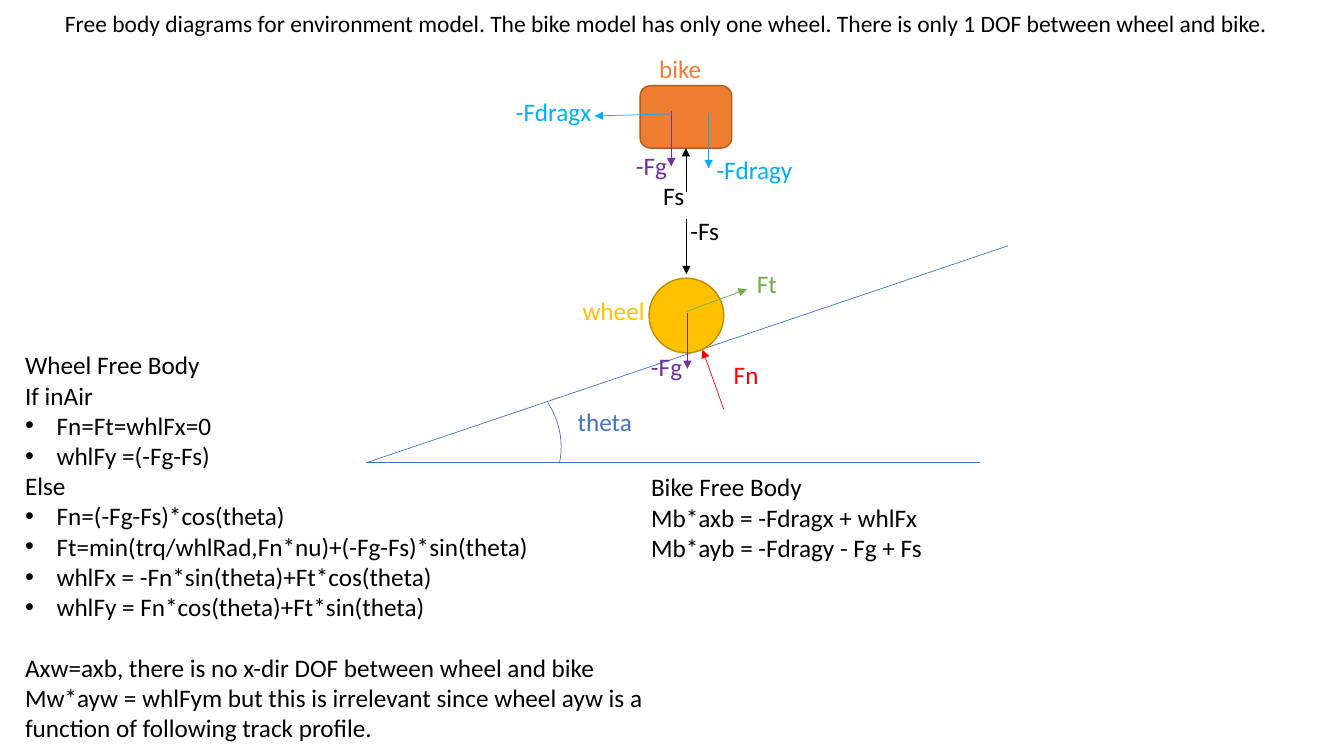
"""Builds a slide with free body diagrams of a one-wheel bike on an incline."""
from collections import namedtuple

import pptx
import pptx.dml.color
import pptx.enum.shapes
import pptx.enum.text
import pptx.oxml.ns
import pptx.util
from lxml import etree

Pt = pptx.util.Pt
RGBColor = pptx.dml.color.RGBColor
Kind = pptx.enum.shapes.MSO_SHAPE
qn = pptx.oxml.ns.qn

BLACK = RGBColor(0x00, 0x00, 0x00)
BLUE = RGBColor(0x44, 0x72, 0xC4)
SKY = RGBColor(0x00, 0xB0, 0xF0)
PURPLE = RGBColor(0x70, 0x30, 0xA0)
RED = RGBColor(0xFF, 0x00, 0x00)
GREEN = RGBColor(0x70, 0xAD, 0x47)
ORANGE = RGBColor(0xED, 0x7D, 0x31)
DARK_ORANGE = RGBColor(0xAF, 0x5C, 0x24)
GOLD = RGBColor(0xFF, 0xC0, 0x00)
DARK_GOLD = RGBColor(0xBD, 0x8E, 0x00)

FONT = "Calibri"
BULLET_INDENT = 22.5
LABEL_SIZE = (80.6, 29)

Box = namedtuple("Box", "left top width height")

HEADING = ("Free body diagrams for environment model. The bike model has only one wheel. "
           "There is only 1 DOF between wheel and bike.")
BIKE_NOTES = ["Bike Free Body", "Mb*axb = -Fdragx + whlFx", "Mb*ayb = -Fdragy - Fg + Fs"]
WHEEL_NOTES = [
    "Wheel Free Body",
    "If inAir",
    "• Fn=Ft=whlFx=0",
    "• whlFy =(-Fg-Fs)",
    "Else",
    "• Fn=(-Fg-Fs)*cos(theta)",
    "• Ft=min(trq/whlRad,Fn*nu)+(-Fg-Fs)*sin(theta)",
    "• whlFx = -Fn*sin(theta)+Ft*cos(theta)",
    "• whlFy = Fn*cos(theta)+Ft*sin(theta)",
    "Axw=axb, there is no x-dir DOF between wheel and bike",
    "Mw*ayw = whlFym but this is irrelevant since wheel ayw is a function of following track profile.",
]
WHEEL_FORCES = [
    ("Fn", RED, (53.4, 93.6), (38.2, 51.1), (53.4, 54.7)),
    ("-Fs", BLACK, (26.7, -42.5), (26.7, -2.9), (22.4, -48.2)),
    ("Ft", GREEN, (26.7, 23.8), (69.9, 7.9), (69.9, -10.8)),
    ("-Fg", PURPLE, (27.4, 25.2), (27.4, 64.8), (-5.7, 49)),
]
BIKE_FORCES = [
    ("Fs", BLACK, (32.75, 76.3), (32.75, 44.6), (9.4, 64.1)),
    ("-Fg", PURPLE, (22.3, 18), (22.3, 57.6), (-10.1, 42.5)),
    ("-Fdragx", SKY, (23, 20.2), (-32.4, 21.6), (-95.8, 4.3)),
    ("-Fdragy", SKY, (49, 19.4), (49, 59), (47.5, 45.4)),
]


def add_text(page, box, lines, color=BLACK, size=18, wrap=True):
    """Add a text box with one paragraph for each line and return its text frame."""
    frame = page.shapes.add_textbox(*map(Pt, box)).text_frame
    frame.word_wrap = wrap
    frame.text = "\n".join(lines)
    for para in frame.paragraphs:
        for span in para.runs:
            span.font.name = FONT
            span.font.size = Pt(size)
            span.font.color.rgb = color
    return frame


def add_label(page, box, offset, text, color):
    """Add a short label at an offset from the corner of the box."""
    add_text(page, Box(box.left + offset[0], box.top + offset[1], *LABEL_SIZE), [text], color)


def add_line(page, box, start, end, color, arrow=False):
    """Add a thin line between two points given relative to the box."""
    points = [box.left + start[0], box.top + start[1], box.left + end[0], box.top + end[1]]
    line = page.shapes.add_connector(
        pptx.enum.shapes.MSO_CONNECTOR.STRAIGHT, *map(Pt, points))
    line.line.color.rgb = color
    line.line.width = Pt(0.5)
    if arrow:
        etree.SubElement(line.line._get_or_add_ln(), qn("a:tailEnd"), type="triangle")
    etree.SubElement(line._element.spPr, qn("a:effectLst"))
    return line


def add_body(page, box, kind, outline, width, fill=None):
    """Add a preset shape that fills the box."""
    body = page.shapes.add_shape(kind, *map(Pt, box))
    body.shadow.inherit = False
    body.line.color.rgb = outline
    body.line.width = Pt(width)
    if fill is None:
        body.fill.background()
    else:
        body.fill.solid()
        body.fill.fore_color.rgb = fill
    return body


def add_forces(page, box, forces):
    """Add labelled force arrows around a body and return the arrows by name."""
    arrows = {}
    for name, color, start, end, label in forces:
        arrows[name] = add_line(page, box, start, end, color, arrow=True)
        add_label(page, box, label, name, color)
    return arrows


def draw_heading(page, box):
    """Write the centred heading."""
    para = add_text(page, box, [HEADING], size=16.8).paragraphs[0]
    para.alignment = pptx.enum.text.PP_ALIGN.CENTER
    para.line_spacing = 0.7
    para.space_before = Pt(10)


def draw_incline(page, box):
    """Draw the slope, the ground and the angle between them."""
    corner = (0, box.height)
    add_line(page, box, (box.width, 0), corner, BLUE)
    add_line(page, box, corner, (box.width - 20, box.height), BLUE)
    arc_box = Box(box.left + 31.5, box.top + 88.7, 110.9, 102.2)
    arc = add_body(page, arc_box, Kind.ARC, BLUE, 0.5)
    arc.adjustments[0] = 162
    arc.adjustments[1] = 192
    arc.rotation = 56.9
    add_label(page, box, (144, 111), "theta", BLUE)


def draw_wheel(page, box):
    """Draw the wheel with its forces."""
    add_body(page, box, Kind.OVAL, DARK_GOLD, 1, GOLD)
    add_label(page, box, (-54.6, 8.7), "wheel", GOLD)
    add_forces(page, box, WHEEL_FORCES)


def draw_bike(page, box):
    """Draw the bike with its forces."""
    bike = add_body(page, box, Kind.ROUNDED_RECTANGLE, DARK_ORANGE, 1, ORANGE)
    add_label(page, box, (6.5, -26.6), "bike", ORANGE)
    arrows = add_forces(page, box, BIKE_FORCES)
    arrows["Fs"].end_connect(bike, 2)


def draw_wheel_notes(page, box):
    """Write the wheel equations, with bullets under each case."""
    frame = add_text(page, box, WHEEL_NOTES)
    for para in frame.paragraphs:
        if para.text.startswith("• "):
            span = para.runs[0]
            span.text = span.text[2:]
            props = para._p.get_or_add_pPr()
            props.set("marL", str(Pt(BULLET_INDENT)))
            props.set("indent", str(-Pt(BULLET_INDENT)))
            etree.SubElement(props, qn("a:buFont"), typeface="Arial")
            etree.SubElement(props, qn("a:buChar"), char="•")
        elif para.text.startswith("Axw"):
            para.space_before = Pt(21.8)


def main():
    """Build the deck and save it."""
    deck = pptx.Presentation()
    deck.slide_width, deck.slide_height = Pt(960), Pt(540)
    page = deck.slides.add_slide(deck.slide_layouts[6])
    draw_heading(page, Box(0, 8.6, 951, 29))
    draw_incline(page, Box(261.5, 175.6, 458.5, 155))
    draw_wheel(page, Box(463.6, 198.7, 53.4, 53.4))
    draw_bike(page, Box(457.2, 61.2, 65.5, 44.6))
    add_text(page, Box(458, 333.4, 213.8, 72.7), BIKE_NOTES, wrap=False)
    draw_wheel_notes(page, Box(10.8, 246.2, 464.4, 290.9))
    deck.save("out.pptx")


if __name__ == "__main__":
    main()
